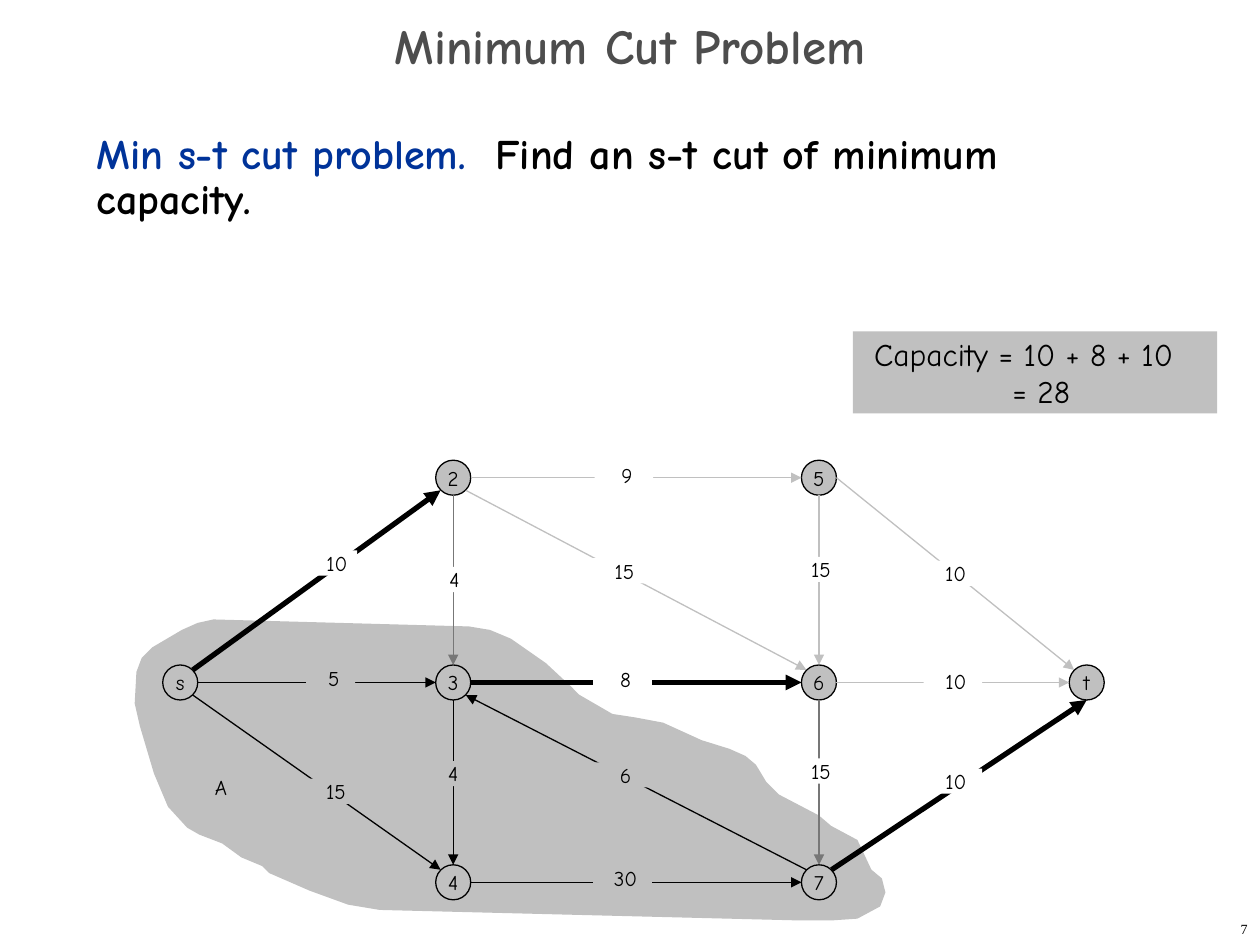
from lxml import etree
from pptx import Presentation
from pptx import util as u
from pptx.dml.color import RGBColor
from pptx.enum import shapes, text
from pptx.oxml import ns

BLACK = RGBColor(0x00, 0x00, 0x00)
WHITE = RGBColor(0xFF, 0xFF, 0xFF)
SILVER = RGBColor(0xC0, 0xC0, 0xC0)
GRAY = RGBColor(0x77, 0x77, 0x77)
DARK = RGBColor(0x4D, 0x4D, 0x4D)
BLUE = RGBColor(0x00, 0x33, 0x99)

SANS = "Comic Neue"
LEFT, CENTER, RIGHT = text.PP_ALIGN.LEFT, text.PP_ALIGN.CENTER, text.PP_ALIGN.RIGHT
TOP, MIDDLE = text.MSO_ANCHOR.TOP, text.MSO_ANCHOR.MIDDLE

RADIUS = 10
DIAG = 7.2
SITES = {
    "N": (0, -RADIUS), "S": (0, RADIUS), "W": (-RADIUS, 0), "E": (RADIUS, 0),
    "NE": (DIAG, -DIAG), "SE": (DIAG, DIAG), "NW": (-DIAG, -DIAG), "SW": (-DIAG, DIAG),
}
ROWS = (273, 390, 504.2)
NODES = {
    "s": (103, ROWS[1]), "t": (621, ROWS[1]),
    "2": (259, ROWS[0]), "3": (259, ROWS[1]), "4": (259, ROWS[2]),
    "5": (468, ROWS[0]), "6": (468, ROWS[1]), "7": (468, ROWS[2]),
}
EDGES = [
    ("s", "NE", "2", "SW", BLACK, 3),
    ("s", "E", "3", "W", BLACK, 0.75),
    ("s", "SE", "4", "NW", BLACK, 0.75),
    ("3", "E", "6", "W", BLACK, 3),
    ("7", "NW", "3", "SE", BLACK, 0.75),
    ("3", "S", "4", "N", BLACK, 0.75),
    ("2", "E", "5", "W", SILVER, 0.75),
    ("4", "E", "7", "W", BLACK, 0.75),
    ("2", "S", "3", "N", GRAY, 0.75),
    ("6", "S", "7", "N", GRAY, 0.75),
    ("5", "S", "6", "N", SILVER, 0.75),
    ("2", "SE", "6", "NW", SILVER, 0.75),
    ("5", "E", "t", "NW", SILVER, 0.75),
    ("6", "E", "t", "W", SILVER, 0.75),
    ("7", "NE", "t", "S", BLACK, 3),
]
INDENT, WIDE_INDENT = 3.4, 10.4
CAPACITIES = [
    ("15", 173.5, 445, 33.5, SILVER, INDENT),
    ("5", 175, 380.2, 28, SILVER, INDENT),
    ("30", 339, 494.6, 33.5, SILVER, INDENT),
    ("15", 450.7, 433.4, 33.5, WHITE, INDENT),
    ("10", 170.6, 314.6, 33.5, WHITE, WIDE_INDENT),
    ("8", 339, 380.9, 33.5, WHITE, INDENT),
    ("15", 338.4, 319, 33.5, WHITE, INDENT),
    ("9", 339.8, 264.2, 33.5, WHITE, INDENT),
    ("6", 339, 435.6, 33.5, SILVER, INDENT),
    ("10", 527.8, 439.2, 33.5, WHITE, INDENT),
    ("10", 527.8, 382.3, 33.5, WHITE, INDENT),
    ("10", 524.2, 320.4, 33.5, WHITE, WIDE_INDENT),
    ("15", 450.7, 318.2, 33.5, WHITE, INDENT),
    ("4", 241.2, 324, 33.5, WHITE, INDENT),
    ("4", 240.5, 434.9, 33.5, SILVER, INDENT),
    ("A", 104.4, 442.8, 33.5, None, WIDE_INDENT),
]
CUT_OUTLINE = [
    (438, 447), (445, 454), (468, 466), (475, 472), (490, 480), (498, 497),
    (504, 502), (506, 510), (503, 518), (490, 525), (475, 526.5), (457, 526),
    (217, 520), (199, 517), (177, 509), (154, 499), (150, 495), (138, 490),
    (127, 482), (114, 477), (107, 473), (96, 461), (88, 442), (80, 415),
    (77, 402), (78, 384), (81, 376), (87, 370), (104, 360), (113, 356),
    (122, 354), (268, 358), (280, 360.5), (292, 365), (312, 379), (326, 392),
    (331, 397), (350, 408), (363, 410), (379, 413), (401, 423), (417, 428),
    (426, 432), (432, 437),
]


def put(obj, values):
    for name, value in values.items():
        setattr(obj, name, value)


def write(sp, paragraphs, size, font=SANS, align=CENTER, anchor=MIDDLE,
          margins=(7.2, 3.6, 7.2, 3.6), wrap=True, bold=False, spacing=None):
    tf = sp.text_frame
    left, top, right, bottom = map(u.Pt, margins)
    put(tf, {"word_wrap": wrap, "vertical_anchor": anchor, "margin_left": left,
             "margin_top": top, "margin_right": right, "margin_bottom": bottom})
    for i, runs in enumerate(paragraphs):
        p = tf.add_paragraph() if i else tf.paragraphs[0]
        put(p, {"alignment": align, "line_spacing": spacing})
        for words, color in runs:
            r = p.add_run()
            r.text = words
            put(r.font, {"name": font, "size": u.Pt(size), "bold": bold})
            r.font.color.rgb = color


def paint(sp, fill, line=None):
    sp.shadow.inherit = False
    sp.fill.solid()
    sp.fill.fore_color.rgb = fill
    if line is None:
        sp.line.fill.background()
    else:
        sp.line.color.rgb = line
        sp.line.width = u.Pt(0.75)


def add_text(s, box, paragraphs, size, **options):
    sp = s.shapes.add_textbox(*map(u.Pt, box))
    write(sp, paragraphs, size, **options)
    return sp


def add_block(s, kind, box, fill, line=None):
    sp = s.shapes.add_shape(kind, *map(u.Pt, box))
    paint(sp, fill, line)
    return sp


def add_cut(s):
    builder = s.shapes.build_freeform(*CUT_OUTLINE[0], scale=u.Pt(1))
    builder.add_line_segments(CUT_OUTLINE[1:], close=True)
    paint(builder.convert_to_shape(), SILVER)


def add_node(s, name):
    x, y = NODES[name]
    box = (x - RADIUS, y - RADIUS, 2 * RADIUS, 2 * RADIUS)
    sp = add_block(s, shapes.MSO_SHAPE.OVAL, box, SILVER, BLACK)
    write(sp, [[(name, BLACK)]], 12, wrap=False)


def site(name, side):
    return [u.Pt(c + d) for c, d in zip(NODES[name], SITES[side])]


def add_edge(s, start, start_side, end, end_side, color, width):
    line = s.shapes.add_connector(shapes.MSO_CONNECTOR.STRAIGHT,
                                  *site(start, start_side), *site(end, end_side))
    line.line.color.rgb = color
    line.line.width = u.Pt(width)
    etree.SubElement(line.line._get_or_add_ln(), ns.qn("a:tailEnd"), type="triangle")
    etree.SubElement(line._element.spPr, ns.qn("a:effectLst"))


def add_capacity(s, words, left, top, width, fill, indent):
    box = (left, top, width, 14.4)
    options = {"anchor": TOP, "margins": (indent, 0, 0, 0)}
    if fill is None:
        add_text(s, box, [[(words, BLACK)]], 12, **options)
    else:
        sp = add_block(s, shapes.MSO_SHAPE.RECTANGLE, box, fill)
        write(sp, [[(words, BLACK)]], 12, **options)


def add_total(s):
    sp = add_block(s, shapes.MSO_SHAPE.RECTANGLE, (487.4, 189.4, 208.1, 46.8), SILVER)
    write(sp, [[("Capacity = 10 + 8 + 10", BLACK)], [("= 28", BLACK)]], 18,
          align=LEFT, margins=(7.2, 7.2, 7.2, 7.2))
    for p, indent in zip(sp.text_frame.paragraphs, (5, 84)):
        p._p.get_or_add_pPr().set("marL", str(u.Pt(indent)))


def main():
    prs = Presentation()
    put(prs, {"slide_width": u.Pt(720), "slide_height": u.Pt(540)})
    s = prs.slides.add_slide(prs.slide_layouts[6])
    add_text(s, (48, 72, 618, 426),
             [[("Min s-t cut problem.  ", BLUE),
               ("Find an s-t cut of minimum capacity.", BLACK)]],
             24, align=LEFT, anchor=TOP, bold=True, spacing=u.Pt(26))
    add_text(s, (0, 12, 720, 36), [[("Minimum Cut Problem", DARK)]], 28,
             bold=True, spacing=0.7)
    add_cut(s)
    for name in NODES:
        add_node(s, name)
    for edge in EDGES:
        add_edge(s, *edge)
    for capacity in CAPACITIES:
        add_capacity(s, *capacity)
    add_total(s)
    add_text(s, (570, 522, 150, 18), [[("7", BLACK)]], 8,
             font="Times New Roman", align=RIGHT)
    prs.save("out.pptx")


if __name__ == "__main__":
    main()
